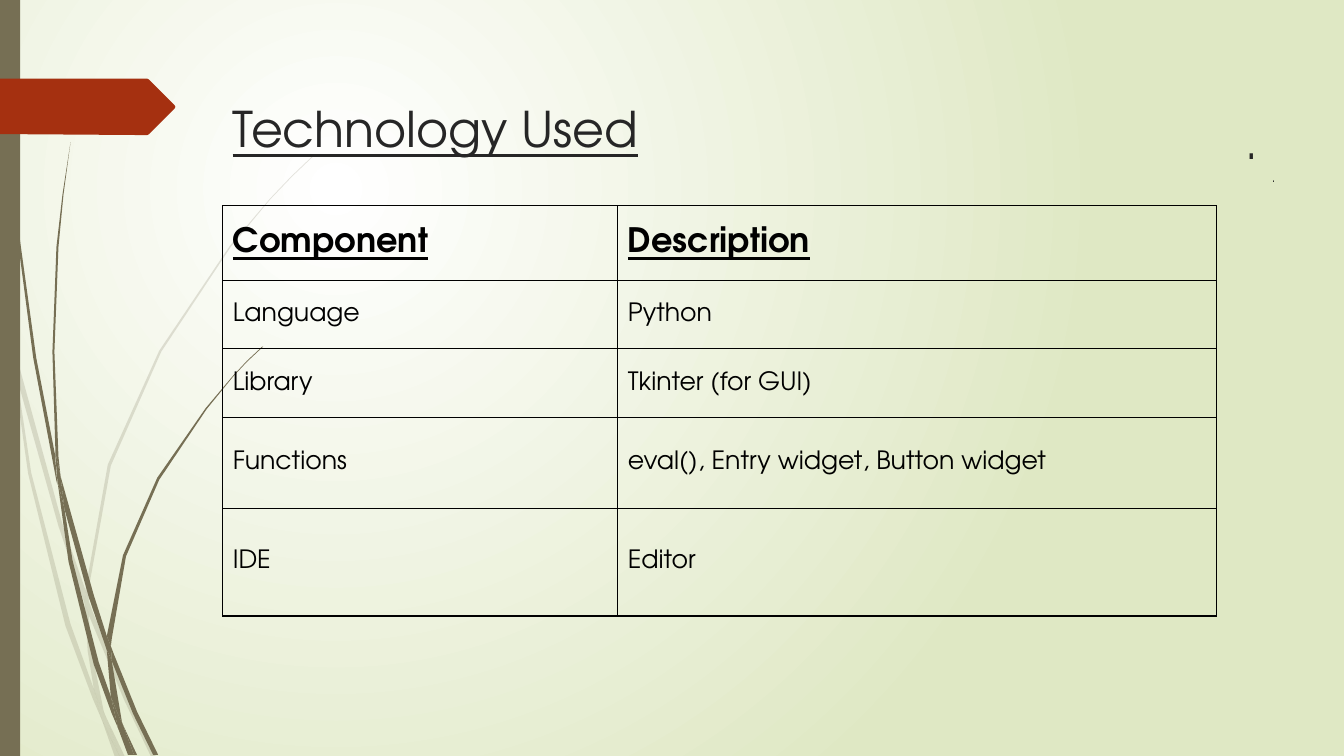
from lxml.etree import SubElement
from pptx import Presentation
from pptx.dml.color import RGBColor
from pptx.enum.shapes import MSO_SHAPE
from pptx.enum.text import MSO_ANCHOR, PP_ALIGN
from pptx.oxml.ns import qn
from pptx.util import Pt

WIDTH, HEIGHT = 960, 540
UNIT = 0.72
OLIVE, RUST, INK, BLACK = "766F54", "A53010", "262626", "000000"
FONT = "TeX Gyre Adventor"

PALE_GRASS = [
    "11,350 9,322 0,282 0,299 10,344",
    "58,522 84,599 85,586 62,520 14,345 17,376",
    "92,607 88,596 88,610 123,694 150,751 155,751 127,692",
    "119,751 124,751 105,711",
    "93,683 70,619 31,469 17,376 11,350 28,470 65,621 92,693 101,714 99,707",
    "84,599 87,646 93,683 96,692 105,711 103,706 91,646 88,610 88,608",
    "88,584 110,462 160,349 229,245 268,198 290,175 312,154 312,153 289,175 "
    "268,197 228,244 158,348 107,461 85,584 85,586 88,596",
    "101,714 114,751 119,751",
    "88,608 88,610 88,596 85,586 84,599",
    "96,692 93,683 99,707 101,714 119,751 105,711",
]
DARK_GRASS = [
    "7,110 17,233 33,355 56,477 57,481 55,457 55,453 36,355 19,232 8,109 5,48 4,0 3,0 4,48",
    "88,592 106,645 106,633 106,631 93,590 60,472 64,505",
    "113,649 110,641 111,656 132,708 152,749 157,749 136,706",
    "110,691 98,657 72,556 64,505 57,477 68,557 93,659 111,708 117,722 116,717",
    "60,472 58,453 54,349 58,245 63,193 70,141 62,193 56,245 52,349 55,449",
    "133,749 136,749 122,719",
    "57,477 64,505 60,472 55,449 55,453",
    "111,633 125,552 158,476 205,406 231,374 245,359 261,344 260,344 245,358 "
    "231,373 204,405 156,474 122,551 106,631 110,641",
    "117,722 127,749 131,749",
    "106,645 110,691 116,706 122,719 121,716 111,656 109,651",
    "106,645 109,651 111,656 110,641 106,631 106,633",
    "116,706 110,691 116,717 117,722 130,749 133,749 122,719",
]
TAG = "0,0 146,0 148,1 173,26 174,28 173,30 148,55 146,56 0,55"

ROWS = [
    ("Component", "Description"),
    ("Language", "Python"),
    ("Library", "Tkinter (for GUI)"),
    ("Functions", "eval(), Entry widget, Button widget"),
    ("IDE", "Editor"),
]
COLUMN_WIDTHS = (282.2, 427.7)
ROW_HEIGHTS = (53.3, 49, 49, 64.8, 77)
HEADING = {"size": Pt(24), "bold": True, "underline": True}
ENTRY = {"size": Pt(18), "bold": False, "underline": False}


def color(hex_string):
    """Turn a hex string into a colour."""
    return RGBColor.from_string(hex_string)


def paint(shape, hex_string, opacity=100):
    """Give a shape a flat fill without line or shadow."""
    shape.shadow.inherit = False
    shape.fill.solid()
    shape.fill.fore_color.rgb = color(hex_string)
    shape.line.fill.background()
    if opacity < 100:
        tint = shape.element.spPr.find(qn("a:solidFill"))[0]
        SubElement(tint, qn("a:alpha"), val=str(opacity * 1000))


def write(frame, text, hex_string, values):
    """Write one paragraph and apply its font values."""
    run = frame.paragraphs[0].add_run()
    run.text = text
    run.font.name = FONT
    run.font.color.rgb = color(hex_string)
    for name, value in values.items():
        setattr(run.font, name, value)


def draw_outline(shapes, outline, left, top, hex_string, opacity=100):
    """Draw a closed outline whose points count from left and top."""
    first, *rest = [tuple(map(int, point.split(","))) for point in outline.split()]
    builder = shapes.build_freeform(*first, scale=Pt(UNIT))
    builder.add_line_segments(rest, close=True)
    paint(builder.convert_to_shape(Pt(left), Pt(top)), hex_string, opacity)


def draw_background(slide):
    """Fill the slide with a radial glow around its upper left quarter."""
    fill = slide.background.fill
    fill.gradient()
    for stop, shade in zip(fill.gradient_stops, ("FFFFFF", "DFE8C4")):
        stop.color.rgb = color(shade)
    for position, stop in enumerate(fill.gradient_stops):
        stop.position = position
    gradient = next(slide.element.iter(qn("a:gradFill")))
    gradient.remove(gradient.find(qn("a:lin")))
    glow = SubElement(gradient, qn("a:path"), path="circle")
    SubElement(glow, qn("a:fillToRect"), l="50000", t="50000", r="100000", b="100000")


def draw_side(slide, left, top, height):
    """Draw the grass, the side band and the pointed tag."""
    for blades, opacity in ((PALE_GRASS, 20), (DARK_GRASS, 100)):
        tuft = slide.shapes.add_group_shape()
        for blade in blades:
            draw_outline(tuft.shapes, blade, left, top, OLIVE, opacity)
    band = slide.shapes.add_shape(
        MSO_SHAPE.RECTANGLE, Pt(left), Pt(top), Pt(14.4), Pt(height))
    paint(band, OLIVE)
    draw_outline(slide.shapes, TAG, left, top + 56.2, RUST)


def draw_text(slide, box, text, values, anchor, align):
    """Place one line of text in the given box."""
    frame = slide.shapes.add_textbox(*map(Pt, box)).text_frame
    frame.word_wrap = True
    frame.vertical_anchor = anchor
    frame.paragraphs[0].alignment = align
    write(frame, text, INK, values)


def draw_borders(cell):
    """Rule a cell on all four sides."""
    properties = cell._tc.get_or_add_tcPr()
    for index, side in enumerate(("lnL", "lnR", "lnT", "lnB")):
        line = properties.makeelement(qn(f"a:{side}"), {"w": str(Pt(1))})
        properties.insert(index, line)
        solid = SubElement(line, qn("a:solidFill"))
        SubElement(solid, qn("a:srgbClr"), val=BLACK)


def draw_table(slide, left, top):
    """Place the table of components and descriptions."""
    table = slide.shapes.add_table(
        len(ROWS), len(COLUMN_WIDTHS), Pt(left), Pt(top),
        Pt(sum(COLUMN_WIDTHS)), Pt(sum(ROW_HEIGHTS))).table
    table.first_row = table.horz_banding = False
    for column, width in zip(table.columns, COLUMN_WIDTHS):
        column.width = Pt(width)
    for index, (row, height, entries) in enumerate(zip(table.rows, ROW_HEIGHTS, ROWS)):
        row.height = Pt(height)
        for cell, entry in zip(row.cells, entries):
            cell.vertical_anchor = MSO_ANCHOR.MIDDLE
            cell.fill.background()
            draw_borders(cell)
            write(cell.text_frame, entry, BLACK, ENTRY if index else HEADING)


def main():
    """Build the slide and save it."""
    deck = Presentation()
    deck.slide_width, deck.slide_height = Pt(WIDTH), Pt(HEIGHT)
    slide = deck.slides.add_slide(deck.slide_layouts[6])
    draw_background(slide)
    draw_side(slide, 0, 0, HEIGHT)
    draw_text(slide, (350, 116.6, 555.8, 6.5), ".", {"size": Pt(32.4)},
              MSO_ANCHOR.BOTTOM, PP_ALIGN.RIGHT)
    draw_table(slide, 159.1, 146.9)
    draw_text(slide, (362.2, 128.9, 555.8, 6.5), ".", {"size": Pt(9)},
              MSO_ANCHOR.BOTTOM, PP_ALIGN.RIGHT)
    draw_text(slide, (159.1, 67, 555.8, 66.2), "Technology Used",
              {"size": Pt(35.1), "underline": True}, MSO_ANCHOR.TOP, PP_ALIGN.LEFT)
    deck.save("out.pptx")


if __name__ == "__main__":
    main()
